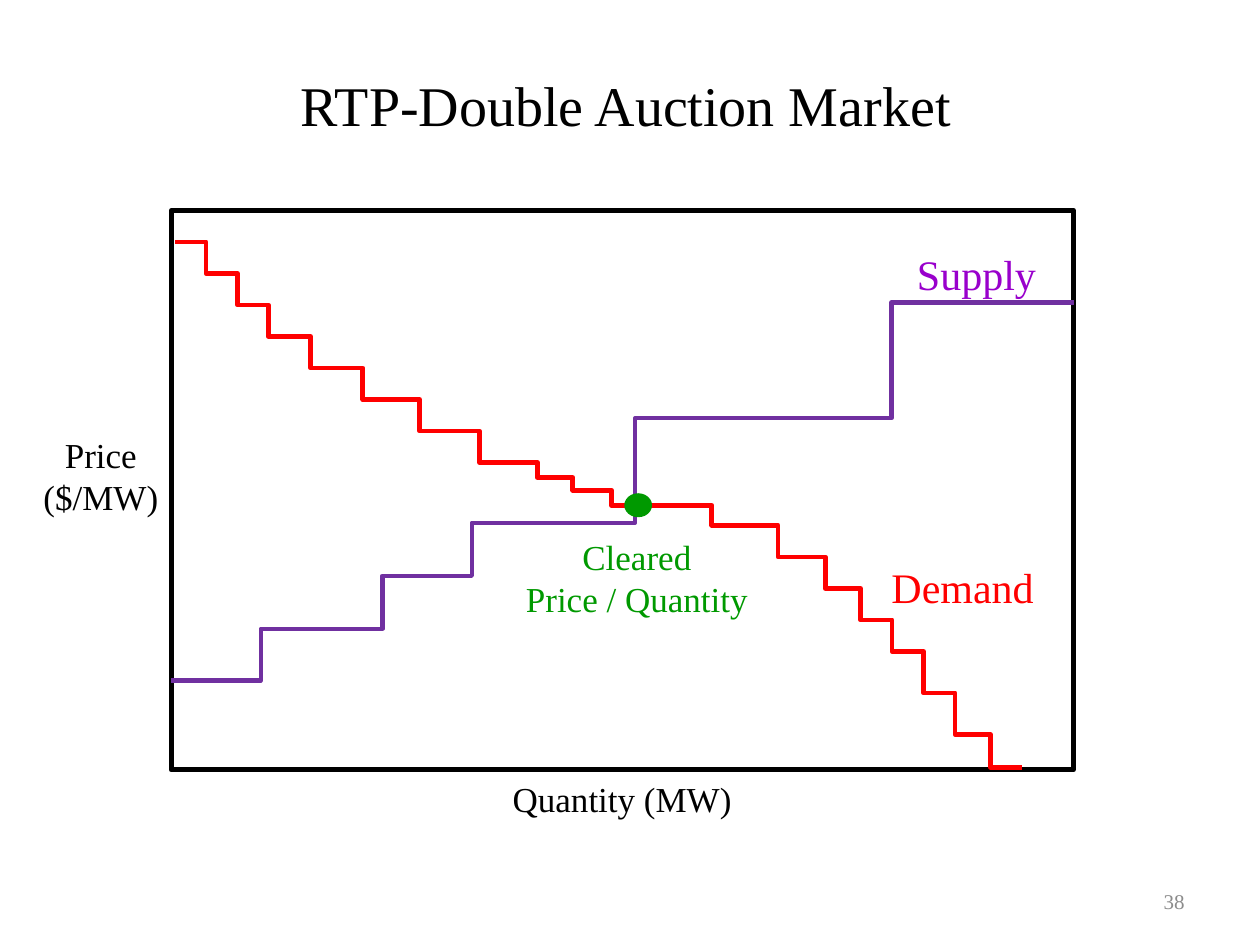
"""Builds the double auction market slide with its supply and demand curves."""
from itertools import pairwise

from lxml.etree import SubElement
from pptx import Presentation
from pptx.dml.color import RGBColor
from pptx.enum.shapes import MSO_CONNECTOR, MSO_SHAPE
from pptx.enum.text import MSO_ANCHOR, PP_ALIGN
from pptx.oxml.ns import qn
from pptx.util import Inches, Pt

FONT = "Times New Roman"
COLORS = {
    "text": "000000",
    "page_number": "8C8C8C",
    "supply_label": "9900CC",
    "supply": "7030A0",
    "demand": "FF0000",
    "cleared": "009900",
}

SUPPLY_PRICES = [5.4, 4.99, 4.57, 4.15, 3.32, 2.4]
SUPPLY_SPANS = [(1.36, 2.78), (2.33, 3.74), (3.04, 4.45), (4.37, 5.71), (5.63, 8.52)]

DEMAND_PRICES = [
    1.92, 2.17, 2.42, 2.67, 2.92, 3.17, 3.42, 3.67, 3.79, 3.89,
    4.01, 4.17, 4.42, 4.67, 4.92, 5.17, 5.5, 5.83, 6.09,
]
DEMAND_SPANS = [
    (1.39, 1.88), (1.64, 2.13), (1.88, 2.38), (2.22, 2.71), (2.63, 3.13),
    (3.08, 3.58), (3.56, 4.05), (3.98, 4.55), (4.26, 4.8), (4.66, 5.38),
    (5.29, 6.01), (5.8, 6.55), (6.3, 6.8), (6.58, 7.08), (6.83, 7.33),
    (7.08, 7.58), (7.33, 7.83), (7.61, 8.11),
]
DEMAND_BENDS = {8: 0.53, 9: 0.27}


def rgb(name):
    """Return the palette colour with this name."""
    return RGBColor.from_string(COLORS[name])


def write(paragraph, text, size, color, align):
    """Add one formatted run to an aligned paragraph."""
    paragraph.alignment = align
    run = paragraph.add_run()
    run.text = text
    run.font.name = FONT
    run.font.size = Pt(size)
    run.font.color.rgb = rgb(color)


def add_title(slide, text):
    """Place and fill the title placeholder."""
    title = slide.shapes.title
    title.left, title.top = Inches(0.53), Inches(0.42)
    title.width, title.height = Inches(8.88), Inches(0.81)
    title.text_frame.vertical_anchor = MSO_ANCHOR.MIDDLE
    write(title.text_frame.paragraphs[0], text, 32, "text", PP_ALIGN.CENTER)


def add_label(slide, box, lines, size, color, align=PP_ALIGN.CENTER,
              wrap=False, anchor=MSO_ANCHOR.TOP):
    """Add a text box with one paragraph per line."""
    frame = slide.shapes.add_textbox(*map(Inches, box)).text_frame
    frame.word_wrap = wrap
    frame.vertical_anchor = anchor
    for index, line in enumerate(lines):
        paragraph = frame.add_paragraph() if index else frame.paragraphs[0]
        write(paragraph, line, size, color, align)


def add_shape(slide, kind, box, line_color, line_width, fill_color=None):
    """Add an outlined preset shape with an optional fill."""
    shape = slide.shapes.add_shape(kind, *map(Inches, box))
    shape.shadow.inherit = False
    if fill_color:
        shape.fill.solid()
        shape.fill.fore_color.rgb = rgb(fill_color)
    else:
        shape.fill.background()
    shape.line.color.rgb = rgb(line_color)
    shape.line.width = Pt(line_width)


def add_step(group, start, end, color, width, bend):
    """Add one elbow step that turns at the given share of its span."""
    step = group.shapes.add_connector(
        MSO_CONNECTOR.ELBOW, *map(Inches, (*start, *end)))
    step.line.color.rgb = rgb(color)
    step.line.width = Pt(width)
    properties = step._element.spPr
    SubElement(properties, qn("a:effectLst"))
    if bend != 0.5:
        guides = properties.find(qn("a:prstGeom")).get_or_add_avLst()
        SubElement(guides, qn("a:gd"), name="adj1", fmla=f"val {round(bend * 100000)}")


def add_curve(slide, spans, prices, color, width, bends):
    """Group the steps that lead from each price level to the next."""
    group = slide.shapes.add_group_shape()
    for index, ((left, right), (price, next_price)) in enumerate(
            zip(spans, pairwise(prices))):
        add_step(group, (left, price), (right, next_price), color, width,
                 bends.get(index, 0.5))


def main():
    """Build and save the slide."""
    deck = Presentation()
    deck.slide_width, deck.slide_height = Inches(10), Inches(7.5)
    slide = deck.slides.add_slide(deck.slide_layouts[5])

    add_title(slide, "RTP-Double Auction Market")
    add_label(slide, (7.17, 6.95, 2.33, 0.4), ["38"], 12, "page_number",
              PP_ALIGN.RIGHT, wrap=True, anchor=MSO_ANCHOR.MIDDLE)
    add_label(slide, (6.86, 4.41, 1.56, 0.5), ["Demand"], 24, "demand", wrap=True)
    add_label(slide, (7.17, 1.92, 1.16, 0.5), ["Supply"], 24, "supply_label")
    add_label(slide, (4.07, 4.2, 1.97, 0.77), ["Cleared", "Price / Quantity"],
              20, "cleared")
    add_shape(slide, MSO_SHAPE.RECTANGLE, (1.36, 1.67, 7.16, 4.44), "text", 3)
    add_label(slide, (3.97, 6.12, 1.99, 0.44), ["Quantity (MW)"], 20, "text",
              PP_ALIGN.LEFT)
    add_label(slide, (0.24, 3.39, 1.12, 0.77), ["Price", "($/MW)"], 20, "text")

    add_curve(slide, SUPPLY_SPANS, SUPPLY_PRICES, "supply", 2.5, {})
    add_curve(slide, DEMAND_SPANS, DEMAND_PRICES, "demand", 2.75, DEMAND_BENDS)
    add_shape(slide, MSO_SHAPE.OVAL, (4.96, 3.92, 0.21, 0.18), "cleared", 0.75,
              "cleared")

    deck.save("out.pptx")


if __name__ == "__main__":
    main()
